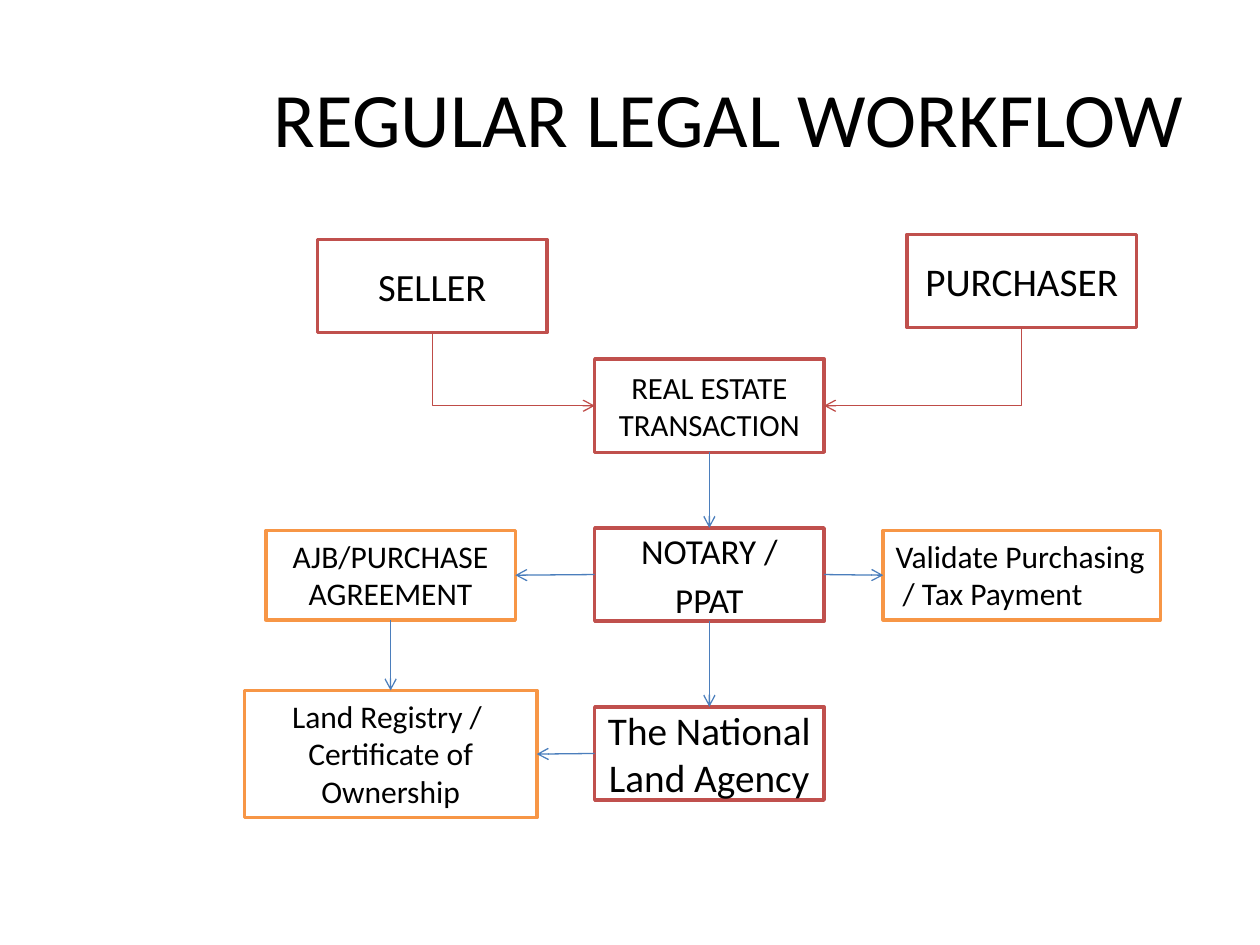
from pptx import Presentation
from pptx.dml.color import RGBColor
from pptx.enum.shapes import MSO_CONNECTOR, MSO_SHAPE
from pptx.enum.text import MSO_ANCHOR, MSO_AUTO_SIZE, PP_ALIGN
from pptx.oxml.ns import qn
from pptx.util import Inches, Pt
from lxml import etree

RECT = MSO_SHAPE.RECTANGLE
STRAIGHT, ELBOW = MSO_CONNECTOR.STRAIGHT, MSO_CONNECTOR.ELBOW
LEFT, CENTER, RIGHT = PP_ALIGN.LEFT, PP_ALIGN.CENTER, PP_ALIGN.RIGHT
TOP_ANCHOR, MIDDLE = MSO_ANCHOR.TOP, MSO_ANCHOR.MIDDLE
GROW, FIXED = MSO_AUTO_SIZE.SHAPE_TO_FIT_TEXT, MSO_AUTO_SIZE.NONE

BLACK = RGBColor(0x00, 0x00, 0x00)
WHITE = RGBColor(0xFF, 0xFF, 0xFF)
RED = RGBColor(0xC0, 0x50, 0x4D)
ORANGE = RGBColor(0xF7, 0x96, 0x46)
RED_ARROW = RGBColor(0xBF, 0x4C, 0x48)
BLUE_ARROW = RGBColor(0x4B, 0x7E, 0xBC)
FONT = "Calibri"

# Content
TITLE = "REGULAR LEGAL WORKFLOW"
PARTY_SIZE = (1.82, 0.74)
MIDDLE_X = 4.72
# Main steps: key -> (left, top), font size, paragraphs
STEPS = {
    "purchaser": ((7.2, 1.86), 22.4, ["PURCHASER"]),
    "notary": ((MIDDLE_X, 4.19), 20, ["NOTARY /", "PPAT"]),
    "seller": ((2.52, 1.9), 22, ["SELLER"]),
    "transaction": ((MIDDLE_X, 2.85), 17.6, ["REAL ESTATE TRANSACTION"]),
    "agency": ((MIDDLE_X, 5.61), 22.4, ["The National Land Agency"]),
}
# Resulting documents: key -> (left, top, width, height), alignment, paragraphs
DOCUMENTS = {
    "tax": ((7.01, 4.21, 2.2, 0.71), LEFT,
            ["Validate Purchasing\v / Tax Payment"]),
    "registry": ((1.94, 5.48, 2.32, 1.01), CENTER,
                 ["Land Registry / ", "Certificate of Ownership"]),
    "agreement": ((2.11, 4.21, 1.98, 0.71), CENTER,
                  ["AJB/PURCHASE AGREEMENT"]),
}
# Connection sites of a rectangle
TOP_SITE, LEFT_SITE, BOTTOM_SITE, RIGHT_SITE = range(4)
ARROWS = [
    ("seller", BOTTOM_SITE, "transaction", LEFT_SITE, ELBOW),
    ("transaction", BOTTOM_SITE, "notary", TOP_SITE, STRAIGHT),
    ("purchaser", BOTTOM_SITE, "transaction", RIGHT_SITE, ELBOW),
    ("notary", BOTTOM_SITE, "agency", TOP_SITE, STRAIGHT),
    ("notary", RIGHT_SITE, "tax", LEFT_SITE, STRAIGHT),
    ("notary", LEFT_SITE, "agreement", RIGHT_SITE, STRAIGHT),
    ("agency", LEFT_SITE, "registry", RIGHT_SITE, STRAIGHT),
    ("agreement", BOTTOM_SITE, "registry", TOP_SITE, STRAIGHT),
]


def write(frame, paragraphs, size, align, space_before=0):
    frame.text = "\n".join(paragraphs)
    for paragraph in frame.paragraphs:
        paragraph.alignment = align
        paragraph.space_before = Pt(space_before)
        paragraph.font.size = Pt(size)
        paragraph.font.name = FONT
        paragraph.font.color.rgb = BLACK


def add_box(shapes, place, color, frame_format):
    box = shapes.add_shape(RECT, *map(Inches, place))
    box.shadow.inherit = False
    box.fill.solid()
    box.fill.fore_color.rgb = WHITE
    box.line.color.rgb = color
    box.line.width = Pt(2)
    for name, value in frame_format.items():
        setattr(box.text_frame, name, value)
    return box


def turn_corner(arrow):
    """Make an elbow run down first, then sideways, with a single corner."""
    x1, y1, x2, y2 = arrow.begin_x, arrow.begin_y, arrow.end_x, arrow.end_y
    width, height = abs(y2 - y1), abs(x2 - x1)
    properties = arrow.element.spPr
    properties.find(qn("a:prstGeom")).set("prst", "bentConnector2")
    frame = properties.find(qn("a:xfrm"))
    for flip in ("flipH", "flipV"):
        frame.attrib.pop(flip, None)
    if x2 > x1:
        frame.set("flipH", "1")
    frame.set("rot", str((270 if x2 > x1 else 90) * 60000))
    arrow.left, arrow.top = (x1 + x2 - width) // 2, (y1 + y2 - height) // 2
    arrow.width, arrow.height = width, height


def add_arrow(shapes, start, start_site, end, end_site, kind):
    arrow = shapes.add_connector(kind, 0, 0, 0, 0)
    arrow.begin_connect(start, start_site)
    arrow.end_connect(end, end_site)
    arrow.line.color.rgb = RED_ARROW if kind == ELBOW else BLUE_ARROW
    arrow.line.width = Pt(0.75)
    properties = arrow.element.spPr
    etree.SubElement(properties.find(qn("a:ln")), qn("a:tailEnd"), type="arrow")
    etree.SubElement(properties, qn("a:effectLst"))
    if kind == ELBOW:
        turn_corner(arrow)


def main():
    deck = Presentation()
    deck.slide_width, deck.slide_height = Inches(10), Inches(7.5)
    slide = deck.slides.add_slide(deck.slide_layouts[5])
    shapes = slide.shapes

    # Title
    title = shapes.title
    title.left, title.top = Inches(0.5), Inches(0.3)
    title.width, title.height = Inches(9), Inches(1.25)
    title.text_frame.vertical_anchor = MIDDLE
    write(title.text_frame, [TITLE], 44, RIGHT)

    # Boxes
    boxes = {}
    step_format = {"word_wrap": True, "vertical_anchor": MIDDLE, "auto_size": FIXED}
    document_format = {"word_wrap": True, "vertical_anchor": TOP_ANCHOR, "auto_size": GROW}
    for key, (corner, size, paragraphs) in STEPS.items():
        boxes[key] = add_box(shapes, corner + PARTY_SIZE, RED, step_format)
        write(boxes[key].text_frame, paragraphs, size, CENTER, size * 0.2)
    for key, (place, align, paragraphs) in DOCUMENTS.items():
        boxes[key] = add_box(shapes, place, ORANGE, document_format)
        write(boxes[key].text_frame, paragraphs, 18, align)

    # Arrows
    for start, start_site, end, end_site, kind in ARROWS:
        add_arrow(shapes, boxes[start], start_site, boxes[end], end_site, kind)

    deck.save("out.pptx")


if __name__ == "__main__":
    main()
